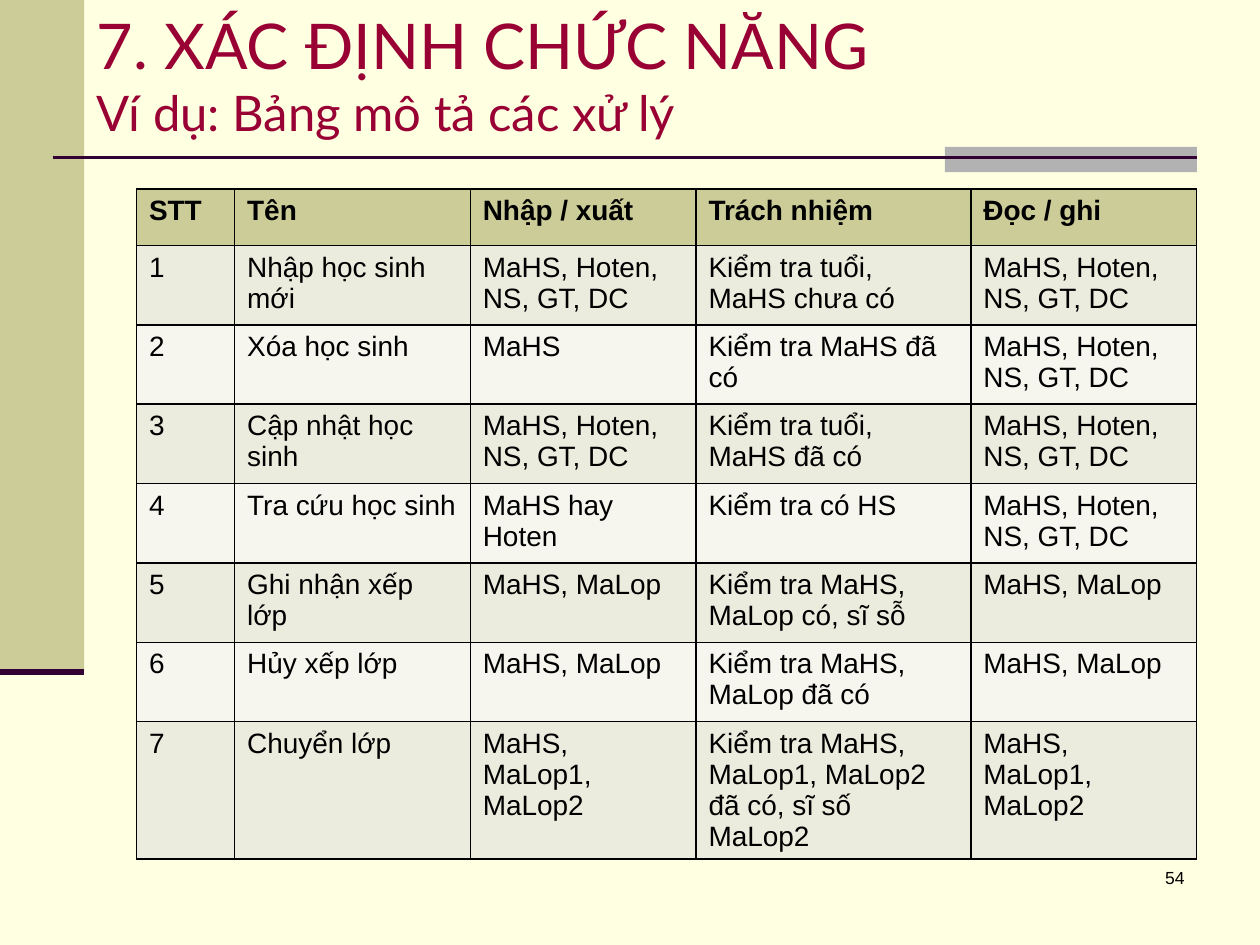
"""Build the slide with the table that describes the student management functions."""
from lxml.etree import SubElement
from pptx import Presentation
from pptx.dml.color import RGBColor
from pptx.enum.shapes import MSO_CONNECTOR, MSO_SHAPE
from pptx.enum.text import MSO_ANCHOR, PP_ALIGN
from pptx.oxml import parse_xml
from pptx.oxml.ns import nsdecls, qn
from pptx.util import Cm, Pt

CREAM = RGBColor(0xFF, 0xFF, 0xE1)
OLIVE = RGBColor(0xCC, 0xCC, 0x99)
GRAY = RGBColor(0xB2, 0xB2, 0xB2)
PLUM = RGBColor(0x33, 0x00, 0x33)
CRIMSON = RGBColor(0x99, 0x00, 0x33)
BLACK = RGBColor(0x00, 0x00, 0x00)
BAND_DARK = RGBColor(0xEC, 0xEC, 0xDE)
BAND_LIGHT = RGBColor(0xF6, 0xF6, 0xEF)

STUDENT_FIELDS = "MaHS, Hoten, NS, GT, DC"
CLASS_FIELDS = "MaHS, MaLop"
TRANSFER_FIELDS = "MaHS, MaLop1, MaLop2"
ROWS = [
    ("STT", "Tên", "Nhập / xuất", "Trách nhiệm", "Đọc / ghi"),
    ("1", "Nhập học sinh mới", STUDENT_FIELDS, "Kiểm tra tuổi, MaHS chưa có", STUDENT_FIELDS),
    ("2", "Xóa học sinh", "MaHS", "Kiểm tra MaHS đã có", STUDENT_FIELDS),
    ("3", "Cập nhật học sinh", STUDENT_FIELDS, "Kiểm tra tuổi, MaHS đã có", STUDENT_FIELDS),
    ("4", "Tra cứu học sinh", "MaHS hay Hoten", "Kiểm tra có HS", STUDENT_FIELDS),
    ("5", "Ghi nhận xếp lớp", CLASS_FIELDS, "Kiểm tra MaHS, MaLop có, sĩ sỗ", CLASS_FIELDS),
    ("6", "Hủy xếp lớp", CLASS_FIELDS, "Kiểm tra MaHS, MaLop đã có", CLASS_FIELDS),
    ("7", "Chuyển lớp", TRANSFER_FIELDS,
     "Kiểm tra MaHS, MaLop1, MaLop2 đã có, sĩ số MaLop2", TRANSFER_FIELDS),
]
COLUMN_WIDTHS = [1.98, 4.75, 4.55, 5.54, 4.55]
ROW_HEIGHTS = [1.14] + [1.6] * 6 + [2.24]


def add_border(cell):
    properties = cell._tc.get_or_add_tcPr()
    for position, side in enumerate(("lnL", "lnR", "lnT", "lnB")):
        properties.insert(position, parse_xml(
            f'<a:{side} {nsdecls("a")} w="12700"><a:solidFill>'
            f'<a:srgbClr val="{BLACK}"/></a:solidFill></a:{side}>'))


presentation = Presentation()
presentation.slide_width = Cm(25.4)
presentation.slide_height = Cm(19.05)
slide = presentation.slides.add_slide(presentation.slide_layouts[5])
slide.background.fill.solid()
slide.background.fill.fore_color.rgb = CREAM

for left, top, width, height, color in [
    (0, 0, 1.7, 13.55, OLIVE),
    (19.05, 2.96, 5.08, 0.51, GRAY),
]:
    bar = slide.shapes.add_shape(MSO_SHAPE.RECTANGLE, Cm(left), Cm(top), Cm(width), Cm(height))
    bar.shadow.inherit = False
    bar.fill.solid()
    bar.fill.fore_color.rgb = color
    bar.line.fill.background()

for left, right, height, weight in [(1.06, 24.13, 3.17, 1.5), (0, 1.7, 13.55, 3.5)]:
    rule = slide.shapes.add_connector(
        MSO_CONNECTOR.STRAIGHT, Cm(left), Cm(height), Cm(right), Cm(height))
    rule.line.color.rgb = PLUM
    rule.line.width = Pt(weight)
    SubElement(rule._element.spPr, qn("a:effectLst"))

title = slide.shapes.title
title.left, title.top, title.width, title.height = Cm(1.7), Cm(0), Cm(23.7), Cm(2.97)
title.text_frame.vertical_anchor = MSO_ANCHOR.MIDDLE
paragraph = title.text_frame.paragraphs[0]
paragraph.alignment = PP_ALIGN.LEFT
paragraph.font.name = "Lato"
paragraph.font.color.rgb = CRIMSON
heading = paragraph.add_run()
heading.text = "7. XÁC ĐỊNH CHỨC NĂNG"
heading.font.size = Pt(36)
paragraph.add_line_break()
subheading = paragraph.add_run()
subheading.text = "Ví dụ: Bảng mô tả các xử lý"
subheading.font.size = Pt(28)

table = slide.shapes.add_table(
    len(ROWS), len(COLUMN_WIDTHS), Cm(2.75), Cm(3.81),
    Cm(sum(COLUMN_WIDTHS)), Cm(sum(ROW_HEIGHTS))).table
for column, width in zip(table.columns, COLUMN_WIDTHS):
    column.width = Cm(width)
for row_index, (row, height, texts) in enumerate(zip(table.rows, ROW_HEIGHTS, ROWS)):
    row.height = Cm(height)
    is_header = row_index == 0
    band = OLIVE if is_header else BAND_DARK if row_index % 2 else BAND_LIGHT
    for cell, text in zip(row.cells, texts):
        cell.text = text
        cell.fill.solid()
        cell.fill.fore_color.rgb = band
        add_border(cell)
        font = cell.text_frame.paragraphs[0].font
        font.name = "Arial"
        font.size = Pt(16)
        font.bold = is_header
        font.color.rgb = BLACK

number_box = slide.shapes.add_textbox(Cm(18.85), Cm(17.35), Cm(5.28), Cm(1.27))
number_box.text_frame.word_wrap = True
paragraph = number_box.text_frame.paragraphs[0]
paragraph.text = "54"
paragraph.alignment = PP_ALIGN.RIGHT
paragraph.font.name = "Arial"
paragraph.font.size = Pt(10)
paragraph.font.color.rgb = BLACK

presentation.save("out.pptx")
